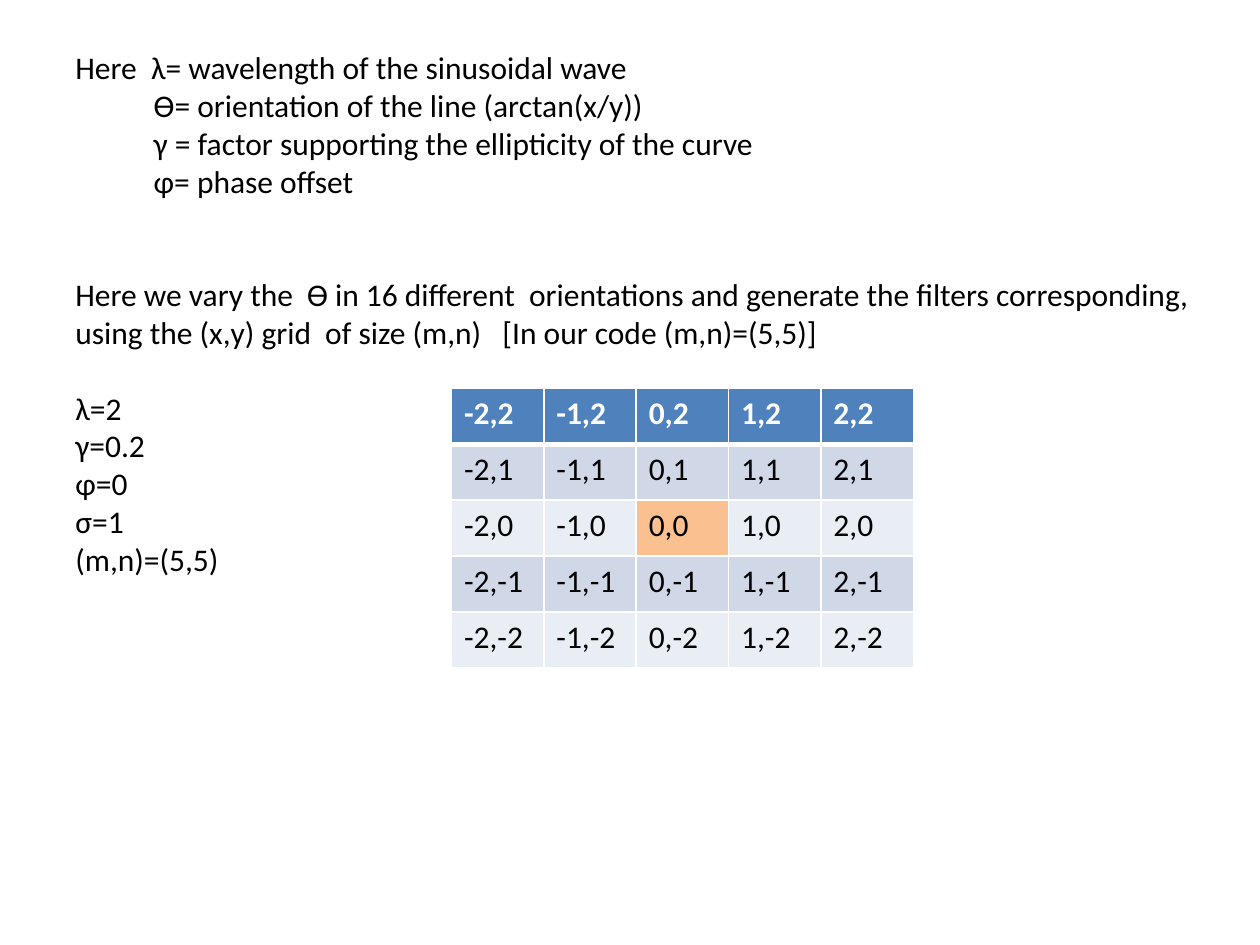
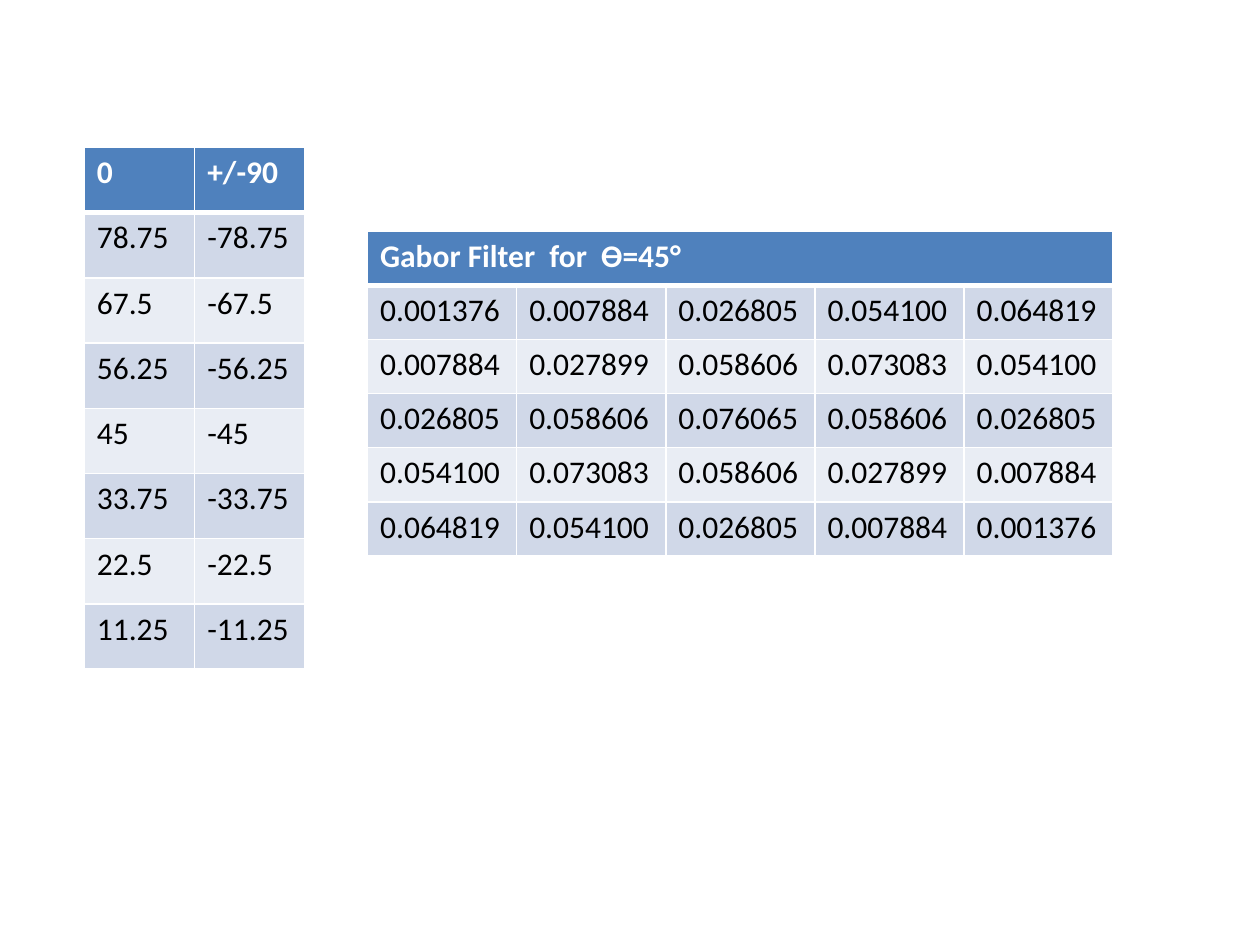
from lxml.etree import SubElement as Sub
from pptx import Presentation
from pptx.dml.color import RGBColor as RGB
from pptx.oxml.ns import qn
from pptx.util import Cm, Pt

C = {"head": "4F81BD", "odd": "D0D8E8", "even": "E9EDF4", "centre": "FAC090",
     "white": "FFFFFF", "black": "000000"}
FONT, SIZE = "Calibri", Pt(18)


def style(p, color, bold=False):
    p.font.name, p.font.size, p.font.bold = FONT, SIZE, bold
    p.font.color.rgb = RGB.from_string(C[color])


def add_grid(s, rows, x, y, w, h):
    """Banded table with a header row; a one-item header spans all columns."""
    n_rows, n_cols = len(rows), len(rows[-1])
    tbl = s.shapes.add_table(n_rows, n_cols, Cm(x), Cm(y), Cm(w), Cm(h)).table
    if len(rows[0]) < n_cols:
        tbl.cell(0, 0).merge(tbl.cell(0, n_cols - 1))
    for i, row in enumerate(rows):
        for j, text in enumerate(row):
            cell = tbl.cell(i, j)
            cell.text = text
            style(cell.text_frame.paragraphs[0],
                  "black" if i else "white", bold=i == 0)
            # White rules, thicker under the header
            tcPr = cell._tc.get_or_add_tcPr()
            thick = {0: "lnB", 1: "lnT"}.get(i)
            for side in ("lnL", "lnR", "lnT", "lnB"):
                ln = Sub(tcPr, qn(f"a:{side}"), w=str(Pt(3 if side == thick else 1)))
                Sub(Sub(ln, qn("a:solidFill")), qn("a:srgbClr"), val=C["white"])
            cell.fill.solid()
            band = "head" if i == 0 else "odd" if i % 2 else "even"
            cell.fill.fore_color.rgb = RGB.from_string(C[band])
    return tbl


prs = Presentation()
prs.slide_width, prs.slide_height = Cm(25.4), Cm(19.05)
blank = prs.slide_layouts[6]

# Slide 1: parameters, as (text, indent in cm, blank lines before)
s = prs.slides.add_slide(blank)
lines = [
    ("Here  λ= wavelength of the sinusoidal wave", 0, 0),
    ("Ѳ= orientation of the line (arctan(x/y))", 1.58, 0),
    ("γ = factor supporting the ellipticity of the curve", 1.58, 0),
    ("φ= phase offset", 1.58, 0),
    ("Here we vary the  Ѳ in 16 different  orientations and generate the filters "
     "corresponding, using the (x,y) grid  of size (m,n)   "
     "[In our code (m,n)=(5,5)]", 0, 2),
    ("λ=2", 0, 1),
    ("γ=0.2", 0, 0),
    ("φ=0", 0, 0),
    ("σ=1", 0, 0),
    ("(m,n)=(5,5)", 0, 0),
]
tf = s.shapes.add_textbox(Cm(1.27), Cm(0.85), Cm(23.28), Cm(17.95)).text_frame
tf.word_wrap = True
for i, (text, indent, gap) in enumerate(lines):
    p = tf.add_paragraph() if i else tf.paragraphs[0]
    p.text = text
    p.space_before = Pt(21.6 * gap)
    p._p.get_or_add_pPr().set("marL", str(Cm(indent)))
    style(p, "black")

# Slide 1: (x,y) grid with its centre marked
grid = [[f"{x},{y}" for x in range(-2, 3)] for y in range(2, -3, -1)]
tbl = add_grid(s, grid, 9.1, 7.83, 9.31, 5.63)
tbl.cell(2, 2).fill.fore_color.rgb = RGB.from_string(C["centre"])

# Slide 2: filter values
s = prs.slides.add_slide(blank)
gabor = [
    ["Gabor Filter  for  Ѳ=45°"],
    ["0.001376", "0.007884", "0.026805", "0.054100", "0.064819"],
    ["0.007884", "0.027899", "0.058606", "0.073083", "0.054100"],
    ["0.026805", "0.058606", "0.076065", "0.058606", "0.026805"],
    ["0.054100", "0.073083", "0.058606", "0.027899", "0.007884"],
    ["0.064819", "0.054100", "0.026805", "0.007884", "0.001376"],
]
add_grid(s, gabor, 7.41, 4.66, 15.03, 6.55)

# Slide 2: the 16 orientations, in steps of 11.25 degrees
angles = [["0", "+/-90"]]
angles += [[f"{11.25 * k:g}", f"{-11.25 * k:g}"] for k in range(7, 0, -1)]
add_grid(s, angles, 1.7, 2.97, 4.45, 10.52)

prs.save("out.pptx")
